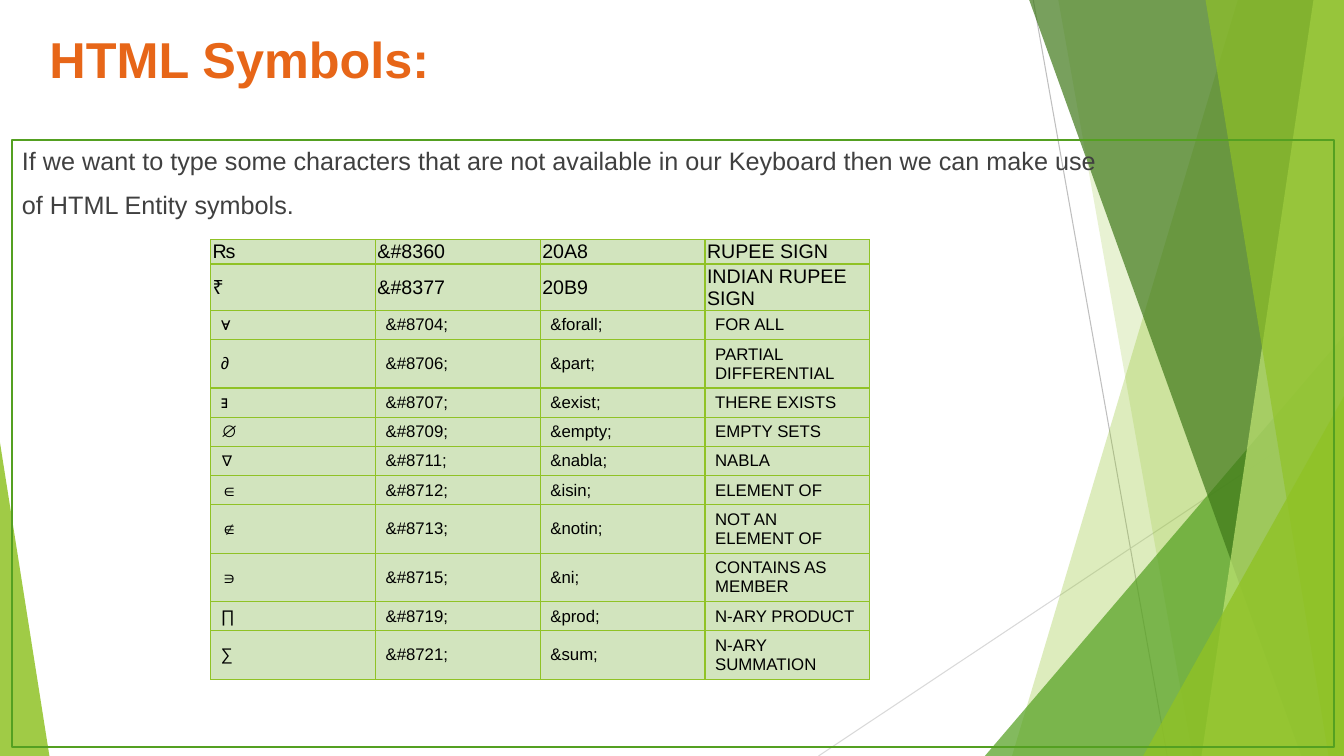
from lxml.etree import SubElement
from pptx import Presentation
from pptx.dml.color import RGBColor
from pptx.enum.shapes import MSO_CONNECTOR, MSO_SHAPE
from pptx.enum.text import MSO_ANCHOR, PP_ALIGN
from pptx.oxml.ns import qn
from pptx.util import Inches, Pt

WIDE, HIGH = Inches(13.333), Inches(7.5)
FONT = "Arial"
COLORS = {
    "title": "E76618", "body": "404040", "cell": "000000",
    "lime": "90C226", "green": "54A021", "forest": "3F7819",
    "pale": "C0E474", "mint": "D2E4BE",
    "grey": "BFBFBF", "silver": "D9D9D9",
}
FULL = (0, 0, 100, 100)
TITLE = (1.88, 2.4, 81.75, 11.6)
BODY = (0.9, 18.53, 98.33, 80.27)
TABLE = (15.68, 31.73, 49.05, 57.6)
INTRO = [
    "If we want to type some characters that are not available in our Keyboard then we can make use",
    "of HTML Entity symbols.",
]
LARGE = 2
SYMBOLS = [
    ("₨", "&#8360", "20A8", "RUPEE SIGN"),
    ("₹", "&#8377", "20B9", "INDIAN RUPEE SIGN"),
    ("∀", "&#8704;", "&forall;", "FOR ALL"),
    ("∂", "&#8706;", "&part;", "PARTIAL DIFFERENTIAL"),
    ("∃", "&#8707;", "&exist;", "THERE EXISTS"),
    ("∅", "&#8709;", "&empty;", "EMPTY SETS"),
    ("∇", "&#8711;", "&nabla;", "NABLA"),
    ("∈", "&#8712;", "&isin;", "ELEMENT OF"),
    ("∉", "&#8713;", "&notin;", "NOT AN ELEMENT OF"),
    ("∋", "&#8715;", "&ni;", "CONTAINS AS MEMBER"),
    ("∏", "&#8719;", "&prod;", "N-ARY PRODUCT"),
    ("∑", "&#8721;", "&sum;", "N-ARY SUMMATION"),
]


def color(name):
    return RGBColor.from_string(COLORS[name])


def place(box):
    x, y, w, h = box
    return (int(WIDE * x / 100), int(HIGH * y / 100),
            int(WIDE * w / 100), int(HIGH * h / 100))


def spot(box, x, y):
    left, top, w, h = place(box)
    return int(left + w * x / 100), int(top + h * y / 100)


def write(para, text, size, name, bold=False):
    run = para.add_run()
    run.text = text
    run.font.name = FONT
    run.font.size = Pt(size)
    run.font.bold = bold
    run.font.color.rgb = color(name)


def tint(shape, name, alpha):
    shape.shadow.inherit = False
    shape.line.fill.background()
    shape.fill.solid()
    shape.fill.fore_color.rgb = color(name)
    node = shape.fill._xPr.find(qn("a:solidFill"))[0]
    SubElement(node, qn("a:alpha"), val=str(alpha * 1000))


def add_line(slide, box, start, end, name):
    line = slide.shapes.add_connector(
        MSO_CONNECTOR.STRAIGHT, *spot(box, *start), *spot(box, *end))
    line.line.color.rgb = color(name)
    line.line.width = Pt(0.75)
    SubElement(line._element.spPr, qn("a:effectLst"))


def add_facet(slide, box, top, base, name, alpha):
    pen = slide.shapes.build_freeform(*spot(box, top, 0), scale=1)
    ends = [(100, 0), (100, 100), (base, 100)]
    pen.add_line_segments([spot(box, *end) for end in ends], close=True)
    tint(pen.convert_to_shape(), name, alpha)


def add_peak(slide, box, tip, name, alpha):
    peak = slide.shapes.add_shape(MSO_SHAPE.ISOSCELES_TRIANGLE, *place(box))
    peak.adjustments[0] = tip
    tint(peak, name, alpha)


def add_art(slide, box):
    add_line(slide, box, (76.88, 0), (86.85, 100), "grey")
    add_line(slide, box, (100, 53.73), (60.9, 100), "silver")
    add_facet(slide, box, 92.1, 75.3, "lime", 30)
    add_facet(slide, box, 78.75, 88.73, "lime", 20)
    add_peak(slide, (73.28, 44.4, 26.72, 55.6), 1, "green", 72)
    add_facet(slide, box, 76.58, 96.83, "forest", 70)
    add_facet(slide, box, 97.73, 89.4, "pale", 70)
    add_facet(slide, box, 89.7, 98.85, "lime", 65)
    add_peak(slide, (85.05, 52.4, 14.95, 47.6), 1, "lime", 80)
    add_peak(slide, (0, 58.53, 3.68, 41.47), 0, "lime", 85)


def add_title(slide, box):
    title = slide.shapes.title
    title.left, title.top, title.width, title.height = place(box)
    frame = title.text_frame
    frame.word_wrap = True
    frame.vertical_anchor = MSO_ANCHOR.TOP
    frame.margin_left = Inches(0.24)
    frame.margin_top = Inches(0.1)
    para = frame.paragraphs[0]
    para.alignment = PP_ALIGN.LEFT
    write(para, "HTML Symbols:", 36, "title", True)


def add_body(slide, box):
    body = slide.shapes.add_shape(MSO_SHAPE.RECTANGLE, *place(box))
    body.shadow.inherit = False
    body.fill.background()
    body.line.color.rgb = color("green")
    body.line.width = Pt(1.5)
    frame = body.text_frame
    frame.word_wrap = True
    frame.vertical_anchor = MSO_ANCHOR.TOP
    for i, text in enumerate(INTRO):
        para = frame.add_paragraph() if i else frame.paragraphs[0]
        para.alignment = PP_ALIGN.LEFT
        para.space_before = Pt(10 if i else 0)
        write(para, text, 18, "body")


def style_cell(cell, text, large):
    props = cell._tc.get_or_add_tcPr()
    for side in ("lnL", "lnR", "lnT", "lnB"):
        edge = SubElement(props, qn("a:" + side), w=str(Pt(1)))
        fill = SubElement(edge, qn("a:solidFill"))
        SubElement(fill, qn("a:srgbClr"), val=COLORS["lime"])
    cell.fill.solid()
    cell.fill.fore_color.rgb = color("mint")
    cell.vertical_anchor = MSO_ANCHOR.MIDDLE
    if large:
        cell.margin_left = cell.margin_right = Inches(0.02)
        cell.margin_top = cell.margin_bottom = Inches(0.01)
    write(cell.text_frame.paragraphs[0], text, 14 if large else 12, "cell")


def add_grid(slide, box):
    cols = len(SYMBOLS[0])
    table = slide.shapes.add_table(len(SYMBOLS), cols, *place(box)).table
    table.first_row = table.horz_banding = False
    for r, row in enumerate(SYMBOLS):
        large = r < LARGE
        lines = 2 if len(row[-1]) > 13 else 1
        step, pad = (0.22, 0.02) if large else (0.19, 0.1)
        table.rows[r].height = Inches(lines * step + pad)
        for c, text in enumerate(row):
            style_cell(table.cell(r, c), text, large)


def main():
    deck = Presentation()
    deck.slide_width, deck.slide_height = WIDE, HIGH
    slide = deck.slides.add_slide(deck.slide_layouts[5])
    add_art(slide, FULL)
    add_title(slide, TITLE)
    add_body(slide, BODY)
    add_grid(slide, TABLE)
    deck.save("out.pptx")


if __name__ == "__main__":
    main()
